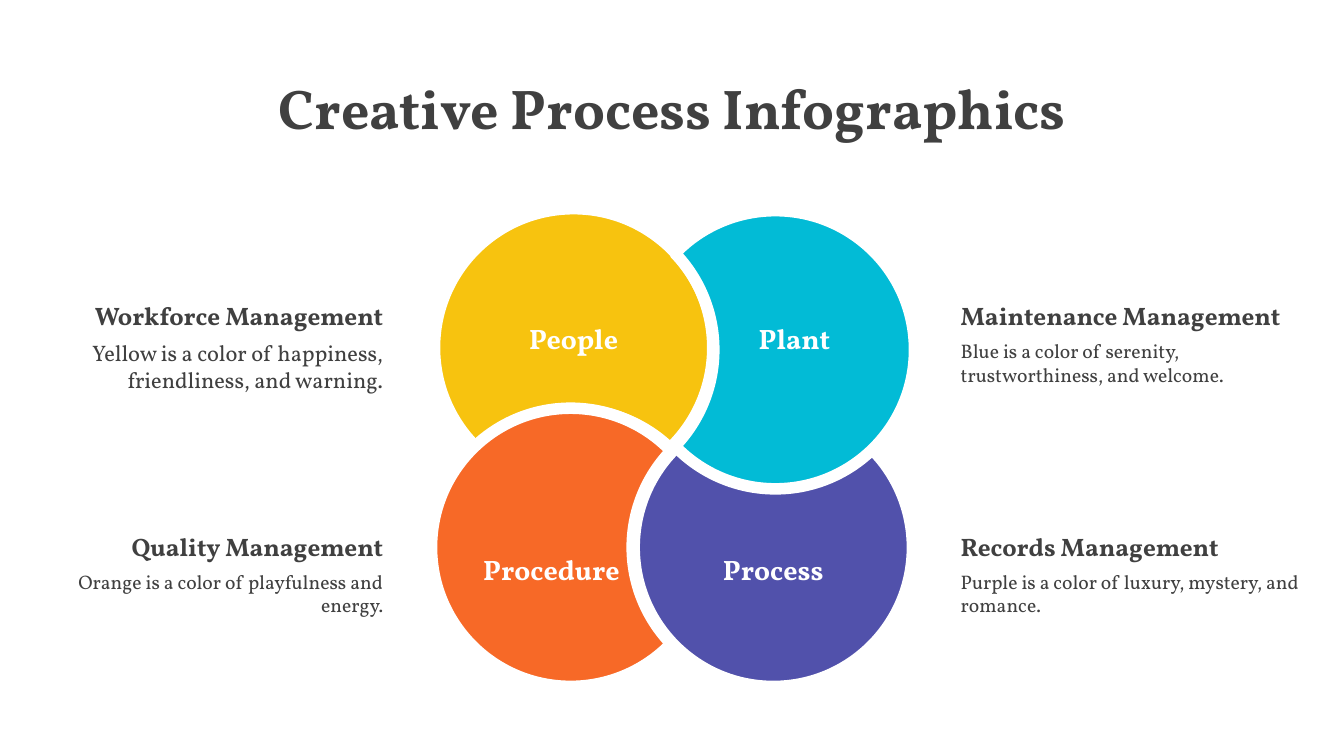
import math
from collections import namedtuple
from dataclasses import dataclass
from itertools import pairwise

from lxml import etree
from pptx import Presentation
from pptx.dml.color import RGBColor
from pptx.enum import text
from pptx.oxml.ns import qn
from pptx.util import Inches, Pt


@dataclass(frozen=True)
class Theme:
    font: str = "Vollkorn"
    ink: str = "404040"
    white: str = "FFFFFF"
    yellow: str = "F7C30F"
    purple: str = "5151AB"
    orange: str = "F76927"
    cyan: str = "02BBD6"
    title: int = 40
    label: int = 20
    heading: int = 18
    body: int = 14
    body_large: int = 16
    outline: float = 8.25


THEME = Theme()
LEFT, CENTER, RIGHT = text.PP_ALIGN.LEFT, text.PP_ALIGN.CENTER, text.PP_ALIGN.RIGHT

RADIUS = 1.38
BITE_DISTANCE = 1.99  # between a petal's centre and that of the circle cut from it
LABEL_SHIFT = 0.19
ROW_TOPS = (2.93, 5.22)
NOTE_LEFTS = (0.2, 9.43)

# bite is the direction of the cut in degrees, clockwise from the right
Petal = namedtuple("Petal", "label cx cy bite color row")
PETALS = (
    Petal("People", 5.69, 3.45, 90, THEME.yellow, 0),
    Petal("Process", 7.67, 5.43, 270, THEME.purple, 1),
    Petal("Procedure", 5.66, 5.43, 0, THEME.orange, 1),
    Petal("Plant", 7.69, 3.47, 180, THEME.cyan, 0),
)

Note = namedtuple("Note", "heading body size column row")
NOTES = (
    Note("Workforce Management", "Yellow is a color of happiness, friendliness, and warning.",
         THEME.body_large, 0, 0),
    Note("Maintenance Management", "Blue is a color of serenity, trustworthiness, and welcome.",
         THEME.body, 1, 0),
    Note("Quality Management", "Orange is a color of playfulness and energy.",
         THEME.body, 0, 1),
    Note("Records Management", "Purple is a color of luxury, mystery, and romance.",
         THEME.body, 1, 1),
)


def add_run(p, words, size, color=THEME.ink, bold=False, align=CENTER):
    p.alignment = align
    r = p.add_run()
    r.text = words
    r.font.name, r.font.size, r.font.bold = THEME.font, Pt(size), bold
    r.font.color.rgb = RGBColor.from_string(color)


def add_text_frame(s, left, top, width, height):
    tf = s.shapes.add_textbox(*map(Inches, (left, top, width, height))).text_frame
    tf.word_wrap = True
    return tf


def arc(cx, cy, angles):
    """Bézier points along a circle: its start, then three points per segment."""
    def point(angle, tangent=0):
        cos, sin = math.cos(angle), math.sin(angle)
        return (Inches(cx + RADIUS * (cos - tangent * sin)),
                Inches(cy + RADIUS * (sin + tangent * cos)))

    points = [point(angles[0])]
    for start, end in pairwise(angles):
        tangent = 4 / 3 * math.tan((end - start) / 4)
        points += [point(start, tangent), point(end, -tangent), point(end)]
    return points


def curve_outline(sp):
    """Turn every three straight segments of a freeform into one Bézier curve."""
    lines = list(sp._element.iter(qn("a:lnTo")))
    for trio in zip(*[iter(lines)] * 3):
        curve = etree.Element(qn("a:cubicBezTo"))
        trio[0].addprevious(curve)
        for line in trio:
            curve.append(line[0])
            line.getparent().remove(line)


def add_title(s, left, top, width, height):
    title = s.shapes.title
    title.left, title.top, title.width, title.height = map(Inches, (left, top, width, height))
    tf = title.text_frame
    tf.vertical_anchor = text.MSO_ANCHOR.TOP
    add_run(tf.paragraphs[0], "Creative Process Infographics", THEME.title, bold=True)


def add_petal(s, petal):
    """Draw a disc with a circular bite cut out of one side."""
    bite = math.radians(petal.bite)
    half = math.acos(BITE_DISTANCE / 2 / RADIUS)
    quarters = [bite + i * math.pi / 2 for i in (1, 2, 3)]
    rim = arc(petal.cx, petal.cy, [bite + half, *quarters, bite - half + math.tau])
    facing = bite + math.pi
    cut = arc(petal.cx + BITE_DISTANCE * math.cos(bite),
              petal.cy + BITE_DISTANCE * math.sin(bite),
              [facing + half, facing, facing - half])
    builder = s.shapes.build_freeform(*rim[0], scale=1.0)
    builder.add_line_segments(rim[1:] + cut[1:-1] + rim[:1], close=True)
    sp = builder.convert_to_shape()
    curve_outline(sp)
    sp.shadow.inherit = False
    sp.fill.solid()
    sp.fill.fore_color.rgb = RGBColor.from_string(petal.color)
    sp.line.color.rgb = RGBColor.from_string(THEME.white)
    sp.line.width = Pt(THEME.outline)


def add_label(s, petal, width=1.66, height=0.44):
    """Write a petal's name, moved away from a bite at its side."""
    center = petal.cx - LABEL_SHIFT * math.cos(math.radians(petal.bite))
    tf = add_text_frame(s, center - width / 2, ROW_TOPS[petal.row] + 0.21, width, height)
    add_run(tf.paragraphs[0], petal.label, THEME.label, THEME.white, bold=True)


def add_note(s, note, left, top, width=3.7, height=0.96):
    align = LEFT if note.column else RIGHT
    tf = add_text_frame(s, left, top, width, height)
    add_run(tf.paragraphs[0], note.heading, THEME.heading, bold=True, align=align)
    p = tf.add_paragraph()
    p.space_before = Pt(6)
    add_run(p, note.body, note.size, align=align)


def main():
    prs = Presentation()
    prs.slide_width, prs.slide_height = Inches(13.33), Inches(7.5)
    s = prs.slides.add_slide(prs.slide_layouts[5])
    add_title(s, 0, 0.68, 13.33, 0.77)
    for petal in PETALS:
        add_petal(s, petal)
    for petal in PETALS:
        add_label(s, petal)
    for note in NOTES:
        add_note(s, note, NOTE_LEFTS[note.column], ROW_TOPS[note.row])
    prs.save("out.pptx")


if __name__ == "__main__":
    main()
